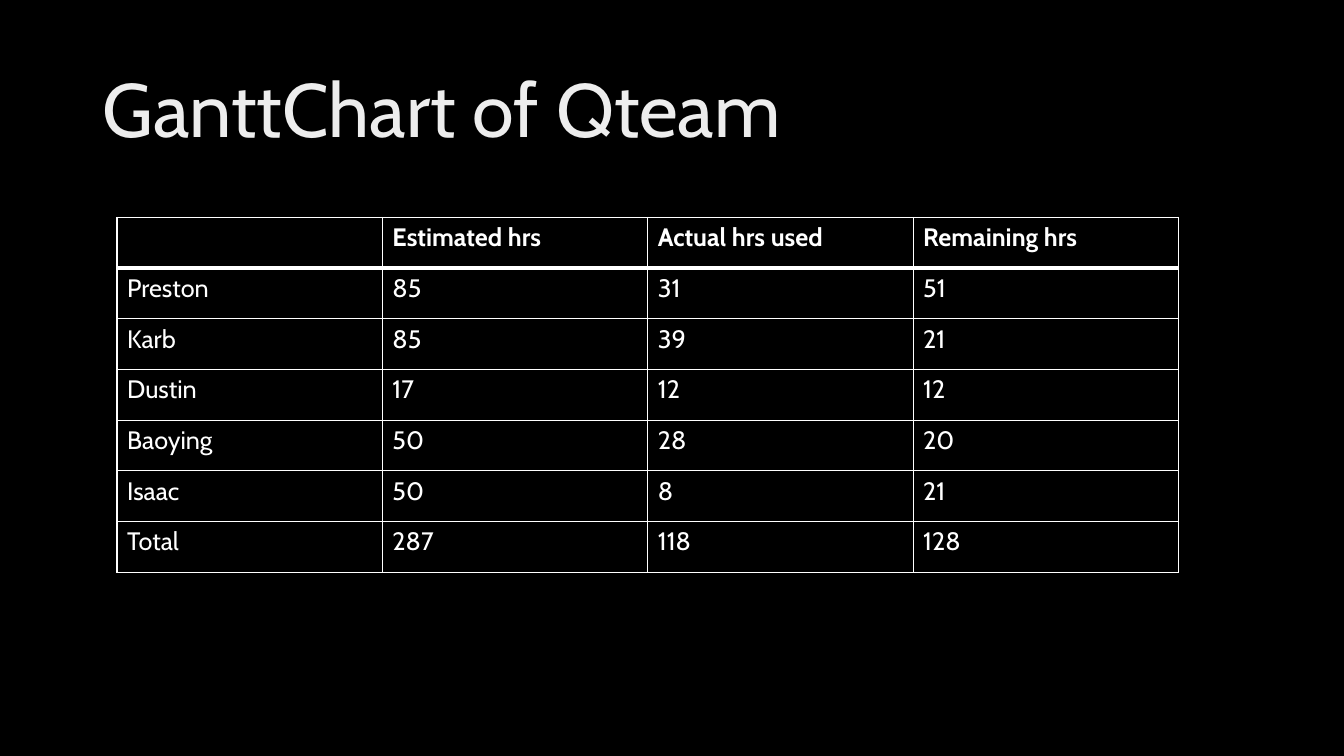
import pptx
import pptx.dml.color
import pptx.enum.text
import pptx.oxml
import pptx.oxml.ns
import pptx.util

Cm = pptx.util.Cm
RGBColor = pptx.dml.color.RGBColor

BLACK = RGBColor(0x00, 0x00, 0x00)
WHITE = RGBColor(0xFF, 0xFF, 0xFF)
SILVER = RGBColor(0xBF, 0xBF, 0xBF)
PALE = RGBColor(0xED, 0xED, 0xED)

FONT = "Cabin"
TITLE_STOPS = [(0, SILVER), (28, PALE), (100, WHITE)]
THIN, THICK = 1, 3

HOURS = [
    ("", "Estimated hrs", "Actual hrs used", "Remaining hrs"),
    ("Preston", "85", "31", "51"),
    ("Karb", "85", "39", "21"),
    ("Dustin", "17", "12", "12"),
    ("Baoying", "50", "28", "20"),
    ("Isaac", "50", "8", "21"),
    ("Total", "287", "118", "128"),
]


def put_text(tf, text, size=18, bold=False, color=WHITE, spacing=None):
    p = tf.paragraphs[0]
    p.alignment = pptx.enum.text.PP_ALIGN.LEFT
    p.line_spacing = spacing
    r = p.add_run()
    r.text = text
    r.font.name = FONT
    r.font.size = pptx.util.Pt(size)
    r.font.bold = bold
    r.font.color.rgb = color
    return r


def shade_text(r, stops, angle):
    """Replace the run's solid colour with a linear gradient."""
    marks = "".join(
        f'<a:gs pos="{pos * 1000}"><a:srgbClr val="{color}"/></a:gs>'
        for pos, color in stops)
    gradient = pptx.oxml.parse_xml(
        f'<a:gradFill {pptx.oxml.ns.nsdecls("a")}><a:gsLst>{marks}</a:gsLst>'
        f'<a:lin ang="{angle * 60000}" scaled="0"/></a:gradFill>')
    rPr = r.font._element
    rPr.replace(rPr.find(pptx.oxml.ns.qn("a:solidFill")), gradient)


def set_borders(cell, top=THIN, bottom=THIN):
    tcPr = cell._tc.get_or_add_tcPr()
    widths = {"lnL": THIN, "lnR": THIN, "lnT": top, "lnB": bottom}
    for i, (side, width) in enumerate(widths.items()):
        tcPr.insert(i, pptx.oxml.parse_xml(
            f'<a:{side} {pptx.oxml.ns.nsdecls("a")} w="{pptx.util.Pt(width)}">'
            f'<a:solidFill><a:srgbClr val="{WHITE}"/></a:solidFill></a:{side}>'))


def add_title(s, left, top, width, height):
    sp = s.shapes.title
    sp.left, sp.top, sp.width, sp.height = left, top, width, height
    tf = sp.text_frame
    tf.word_wrap = True
    tf.auto_size = pptx.enum.text.MSO_AUTO_SIZE.NONE
    tf.vertical_anchor = pptx.enum.text.MSO_ANCHOR.MIDDLE
    r = put_text(tf, "GanttChart of Qteam", size=54, color=PALE, spacing=0.9)
    shade_text(r, TITLE_STOPS, 80)


def add_hours_table(s, left, top, width, height):
    frame = s.shapes.add_table(len(HOURS), len(HOURS[0]), left, top, width, height)
    table = frame.table
    table.horz_banding = False
    for i, row in enumerate(HOURS):
        for j, text in enumerate(row):
            cell = table.cell(i, j)
            cell.fill.background()
            put_text(cell.text_frame, text, bold=i == 0)
            # A heavy rule parts the header from the body
            set_borders(cell, top=THICK if i == 1 else THIN,
                        bottom=THICK if i == 0 else THIN)


def main():
    prs = pptx.Presentation()
    prs.slide_width, prs.slide_height = Cm(33.87), Cm(19.05)
    s = prs.slides.add_slide(prs.slide_layouts[5])

    # Background
    s.background.fill.solid()
    s.background.fill.fore_color.rgb = BLACK

    # Title and table
    add_title(s, Cm(2.33), Cm(1.01), Cm(29.21), Cm(3.68))
    add_hours_table(s, Cm(2.95), Cm(5.48), Cm(26.75), Cm(8.94))

    prs.save("out.pptx")


if __name__ == "__main__":
    main()
